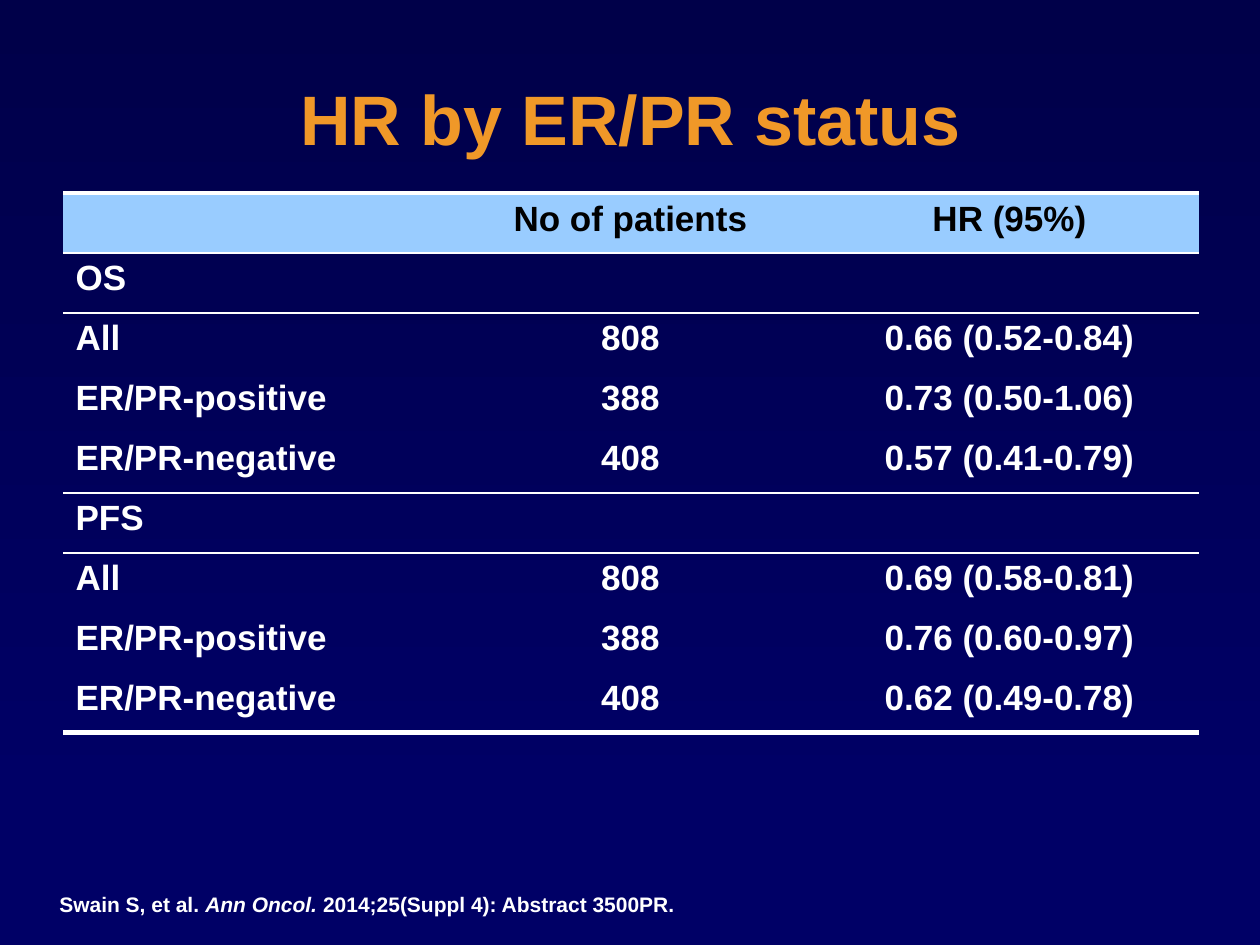
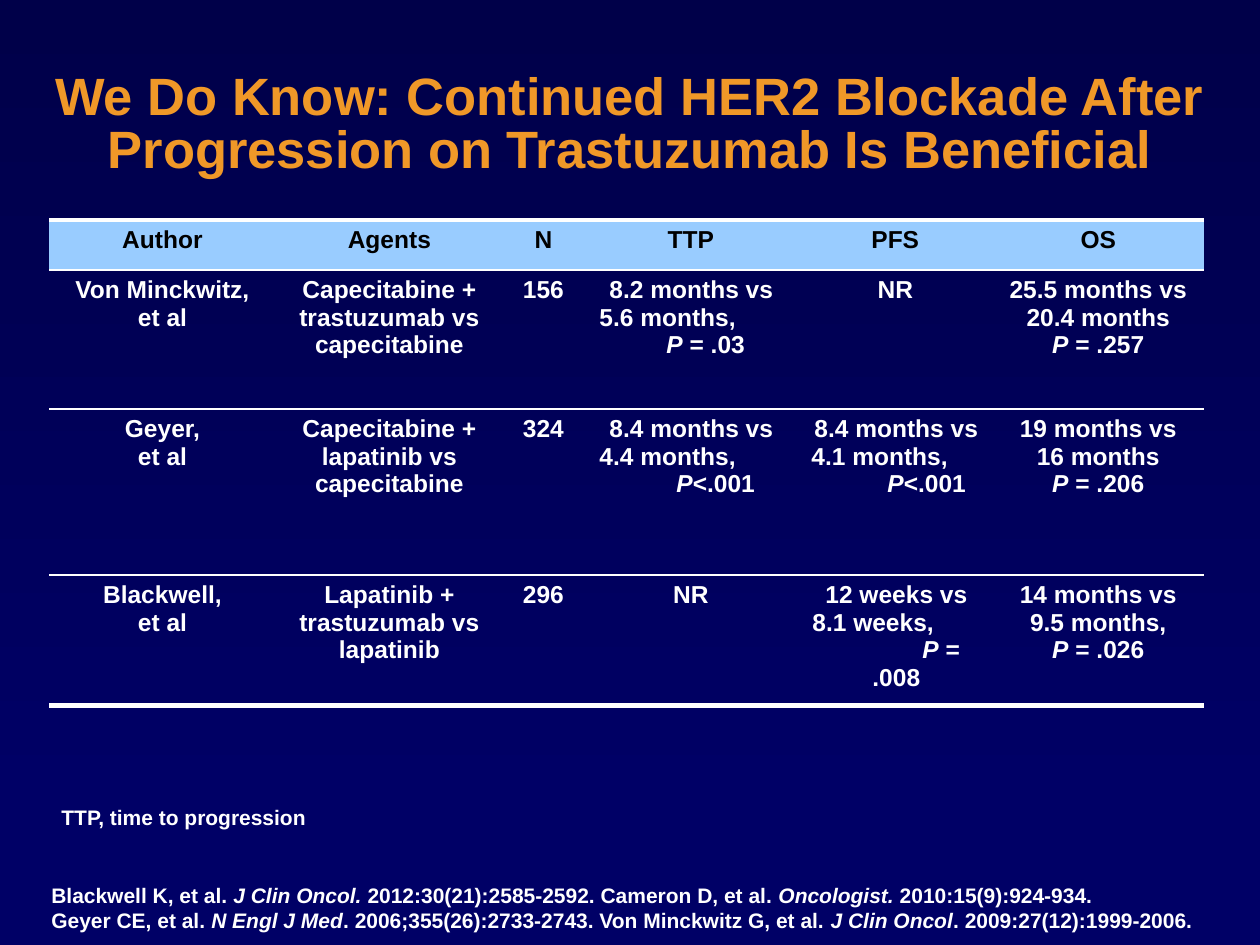
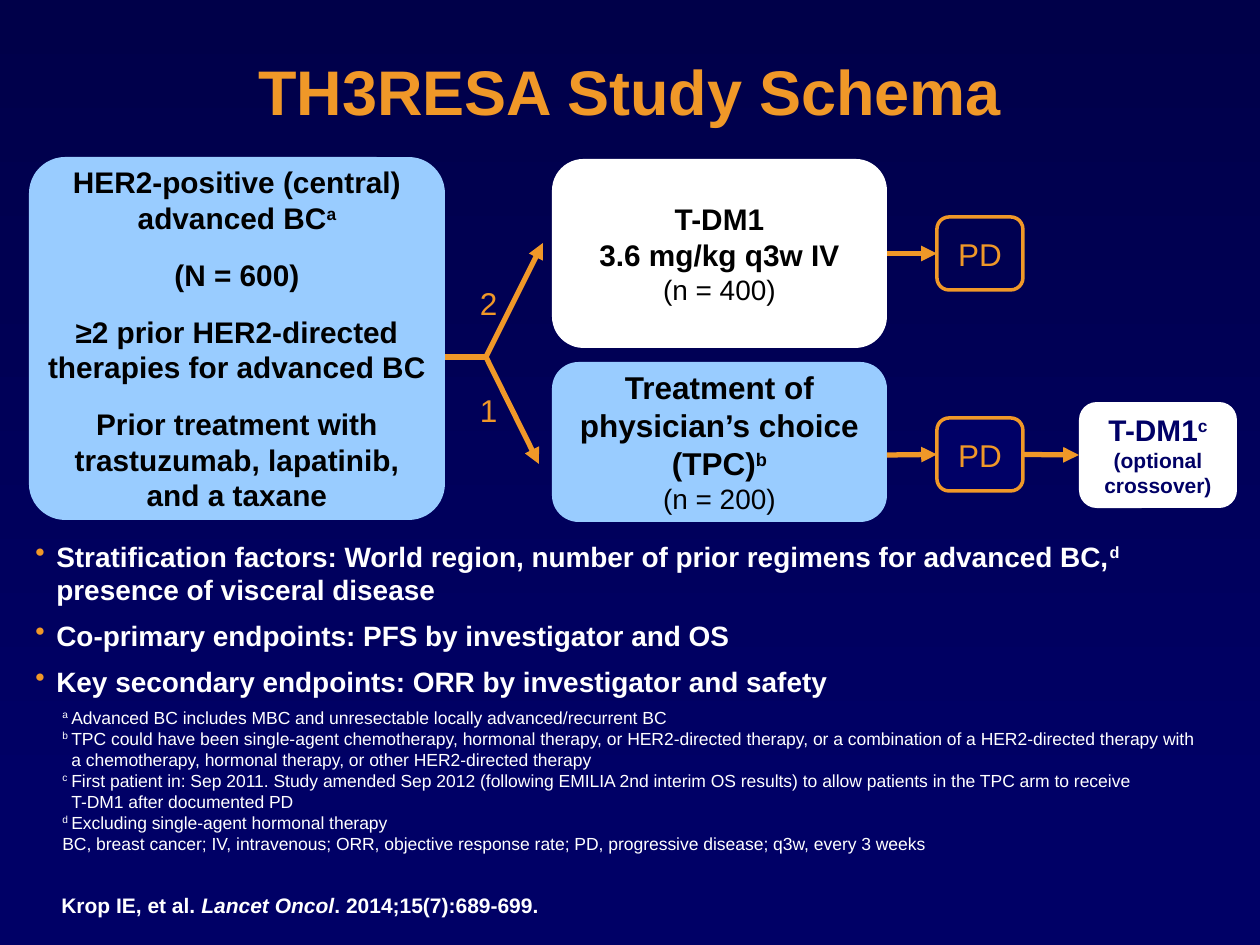
import copy

import pptx
import pptx.dml.color
import pptx.enum.shapes
import pptx.enum.text
import pptx.oxml
import pptx.oxml.ns
import pptx.util
from lxml import etree

SCALE = 914400 // 126
FONT = "Arial"
NAVY, DARK, ORANGE = "000066", "000049", "F09828"
SKY, WHITE, BLACK = "99CCFF", "FFFFFF", "000000"
SHAPES = pptx.enum.shapes.MSO_SHAPE
ALIGN = pptx.enum.text.PP_ALIGN
ANCHOR = pptx.enum.text.MSO_ANCHOR


def px(length):
    return pptx.util.Emu(length * SCALE)


def rgb(value):
    return pptx.dml.color.RGBColor.from_string(value)


def add_xml(parent, tag, **attributes):
    return etree.SubElement(parent, pptx.oxml.ns.qn(tag), attributes)


def add_color(parent, value):
    add_xml(add_xml(parent, "a:solidFill"), "a:srgbClr", val=value)


class Board:
    def __init__(self):
        self.deck = pptx.Presentation()
        self.deck.slide_width, self.deck.slide_height = px(1260), px(945)
        backdrop = self.deck.slide_master.background.fill
        backdrop.solid()
        backdrop.fore_color.rgb = rgb(NAVY)
        self.page = None

    def new_page(self, title, at, size, spacing=0.9):
        self.page = self.deck.slides.add_slide(self.deck.slide_layouts[6])
        band = self.shape((0, 0, 1260, 809), kind=SHAPES.RECTANGLE)
        band.fill.gradient()
        band.fill.gradient_angle = 270
        for stop, position, color in zip(band.fill.gradient_stops, (0, 1), (DARK, NAVY)):
            stop.position = position
            stop.color.rgb = rgb(color)
        box = self.text(at, title, size, ORANGE, align=ALIGN.CENTER, anchor=ANCHOR.MIDDLE)
        para = box.text_frame.paragraphs[0]
        para.line_spacing = spacing
        for span in para.runs:
            self.shade(span)

    def shade(self, span):
        fill = span.font._rPr.find(pptx.oxml.ns.qn("a:solidFill"))
        effects = etree.Element(pptx.oxml.ns.qn("a:effectLst"))
        shadow = add_xml(effects, "a:outerShdw", dist="35921", dir="2700000")
        add_xml(shadow, "a:srgbClr", val=BLACK)
        fill.addnext(effects)

    def set_text(self, frame, markup, size, color=WHITE, bold=True, align=ALIGN.LEFT, tail=None):
        for number, line in enumerate(markup.split("\n")):
            para = frame.add_paragraph() if number else frame.paragraphs[0]
            para.alignment = align
            self.set_spans(para, line, size, color, bold)
        if tail:
            for span in frame.paragraphs[-1].runs:
                span.font.size, span.font.bold = pptx.util.Pt(tail[0]), tail[1]

    def set_spans(self, para, line, size, color, bold):
        for i, part in enumerate(line.split("*")):
            for j, piece in enumerate(part.split("^")):
                for k, words in enumerate(piece.split("\v")):
                    if k:
                        para.add_line_break()
                    if not words:
                        continue
                    span = para.add_run()
                    span.text = words
                    span.font.name, span.font.size = FONT, pptx.util.Pt(size)
                    span.font.bold, span.font.italic = bold, i % 2 == 1
                    span.font.color.rgb = rgb(color)
                    if j % 2:
                        span.font._rPr.set("baseline", "30000")
        for line_break in para._p.findall(pptx.oxml.ns.qn("a:br")):
            line_break.append(copy.deepcopy(para.runs[-1].font._rPr))

    def set_frame(self, frame, anchor, wrap=True, inset=None):
        frame.word_wrap = wrap
        frame.vertical_anchor = anchor
        if inset is not None:
            frame.margin_left = frame.margin_right = px(inset)
            frame.margin_top = frame.margin_bottom = px(inset)

    def text(self, at, markup, size=12, color=WHITE, anchor=ANCHOR.TOP, wrap=True, inset=None, **style):
        box = self.page.shapes.add_textbox(*map(px, at))
        self.set_frame(box.text_frame, anchor, wrap, inset)
        self.set_text(box.text_frame, markup, size, color, **style)
        return box

    def shape(self, at, markup="", size=18, color=BLACK, fill=None, line=None, wrap=True,
              inset=None, kind=SHAPES.FLOWCHART_ALTERNATE_PROCESS, **style):
        box = self.page.shapes.add_shape(kind, *map(px, at))
        box.shadow.inherit = False
        if fill:
            box.fill.solid()
            box.fill.fore_color.rgb = rgb(fill)
        else:
            box.fill.background()
        if line:
            box.line.color.rgb = rgb(line)
            box.line.width = pptx.util.Pt(2)
        else:
            box.line.fill.background()
        if markup:
            self.set_frame(box.text_frame, ANCHOR.MIDDLE, wrap, inset)
            self.set_text(box.text_frame, markup, size, color, align=ALIGN.CENTER, **style)
        return box

    def connector(self, start, end, head=True, begin=None, finish=None):
        link = self.page.shapes.add_connector(
            pptx.enum.shapes.MSO_CONNECTOR.STRAIGHT, *map(px, start + end))
        if begin:
            link.begin_connect(begin, 3)
        if finish:
            link.end_connect(finish, 1)
        link.line.color.rgb = rgb(ORANGE)
        link.line.width = pptx.util.Pt(3)
        if head:
            add_xml(link.line._get_or_add_ln(), "a:tailEnd", type="triangle")
        add_xml(link._element.spPr, "a:effectLst")

    def hang(self, para, indent, bullet=None):
        properties = para._p.get_or_add_pPr()
        properties.set("marL", str(px(indent)))
        properties.set("indent", str(px(-indent)))
        if bullet:
            add_xml(add_xml(properties, "a:buClr"), "a:srgbClr", val=ORANGE)
            add_xml(properties, "a:buChar", char=bullet)

    def border(self, cell, side, weight):
        edge = add_xml(cell._tc.get_or_add_tcPr(), "a:ln" + side, w=str(pptx.util.Pt(weight)))
        if weight:
            add_color(edge, WHITE)
        else:
            add_xml(edge, "a:noFill")

    def table(self, left, top, widths, heights, rows, rules, size, left_columns=(), indents=None):
        frame = self.page.shapes.add_table(
            len(rows), len(widths), px(left), px(top), px(sum(widths)), px(sum(heights)))
        grid = frame.table
        grid.horz_banding = False
        for column, width in zip(grid.columns, widths):
            column.width = px(width)
        for r, (row, height) in enumerate(zip(rows, heights)):
            grid.rows[r].height = px(height)
            for c, markup in enumerate(row):
                cell = grid.cell(r, c)
                for side, weight in zip("LRTB", (0, 0, rules[r], rules[r + 1])):
                    self.border(cell, side, weight)
                if r:
                    cell.fill.background()
                else:
                    cell.fill.solid()
                    cell.fill.fore_color.rgb = rgb(SKY)
                offsets = (indents or {}).get((r, c), ())
                align = ALIGN.LEFT if c in left_columns or offsets else ALIGN.CENTER
                self.set_text(cell.text_frame, markup, size, WHITE if r else BLACK, align=align)
                for para, offset in zip(cell.text_frame.paragraphs, offsets):
                    para._p.get_or_add_pPr().set("marL", str(px(offset)))


def status_page(board):
    board.new_page("HR by ER/PR status", (47, 44, 1167, 158), 40)
    rows = [
        ("", "No of patients", "HR (95%)"),
        ("OS", "", ""),
        ("All", "808", "0.66 (0.52-0.84)"),
        ("ER/PR-positive", "388", "0.73 (0.50-1.06)"),
        ("ER/PR-negative", "408", "0.57 (0.41-0.79)"),
        ("PFS", "", ""),
        ("All", "808", "0.69 (0.58-0.81)"),
        ("ER/PR-positive", "388", "0.76 (0.60-0.97)"),
        ("ER/PR-negative", "408", "0.62 (0.49-0.78)"),
    ]
    board.table(63, 193, (378, 379, 379), [60] * len(rows), rows,
                (3, 1, 1, 0, 0, 1, 1, 0, 0, 3), 20, left_columns=(0,))
    board.text((47, 885, 1157, 38),
               "Swain S, et al. *Ann Oncol.* 2014;25(Suppl 4): Abstract 3500PR.")


def blockade_page(board):
    board.new_page("We Do Know: Continued HER2 Blockade After Progression on Trastuzumab Is Beneficial",
                   (0, 47, 1260, 158), 30, 0.85)
    rows = [
        ("Author", "Agents", "N", "TTP", "PFS", "OS"),
        ("Von Minckwitz,\vet al", "Capecitabine + trastuzumab vs capecitabine", "156",
         "8.2 months vs\n5.6 months,\n*P* = .03", "NR",
         "25.5 months vs 20.4 months\n*P* = .257"),
        ("Geyer,\vet al", "Capecitabine + lapatinib vs capecitabine", "324",
         "8.4 months vs\n4.4 months,\n*P*<.001", "8.4 months vs\n4.1 months,\n*P*<.001",
         "19 months vs 16 months\n*P* = .206"),
        ("Blackwell,\vet al", "Lapatinib + trastuzumab vs lapatinib", "296", "NR",
         "12 weeks vs\n8.1 weeks,\n*P* =\n.008", "14 months vs 9.5 months,\n*P* = .026"),
    ]
    indents = {(1, 3): (13, 3, 70), (2, 3): (13, 3, 80),
               (2, 4): (4, 1, 77), (3, 4): (15, 2, 112, 62)}
    board.table(49, 220, (227, 227, 81, 214, 195, 211), (50, 139, 166, 118), rows,
                (3, 1, 1, 1, 3), 14, indents=indents)
    board.text((39, 876, 1187, 63),
               "Blackwell K, et al. *J Clin Oncol.* 2012:30(21):2585-2592. "
               "Cameron D, et al. *Oncologist.* 2010:15(9):924-934.\v"
               "Geyer CE, et al. *N Engl J Med*. 2006;355(26):2733-2743. "
               "Von Minckwitz G, et al. *J Clin Oncol*. 2009:27(12):1999-2006.")
    board.text((49, 798, 273, 38), "TTP, time to progression", wrap=False)


def schema_page(board):
    board.new_page("TH3RESA Study Schema", (0, 16, 1260, 158), 36)
    patients = board.shape(
        (29, 157, 416, 363),
        "HER2-positive (central) advanced BC^a^\n(N = 600)\n"
        "≥2 prior HER2-directed therapies for advanced BC\n"
        "Prior treatment with trastuzumab, lapatinib, and a taxane",
        17, fill=SKY, inset=6, kind=SHAPES.ROUNDED_RECTANGLE)
    patients.adjustments[0] = 0.1
    for para in patients.text_frame.paragraphs:
        para.space_after = pptx.util.Pt(12)
    treatment = board.shape((552, 159, 335, 189), "T-DM1\n3.6 mg/kg q3w IV\n(n = 400)",
                            17, fill=WHITE, tail=(16, False))
    board.shape((552, 362, 335, 160), "Treatment of physician’s choice (TPC)^b^\n(n = 200)",
                18, fill=SKY, inset=6, tail=(16, False))
    crossover = board.shape((1079, 402, 158, 106), "T-DM1^c^\n(optional crossover)",
                            17, NAVY, fill=WHITE, tail=(12, True))
    upper, lower = [
        board.shape((937, top, 86, 73), "PD", 18, ORANGE, fill, ORANGE, wrap=False,
                    kind=SHAPES.ROUNDED_RECTANGLE, bold=False)
        for top, fill in ((217, None), (418, NAVY))]

    board.connector((445, 357), (486, 357), head=False)
    board.connector((486, 357), (539, 464))
    board.connector((486, 357), (543, 243))
    board.connector((887, 253), (937, 253), begin=treatment, finish=upper)
    board.connector((887, 455), (937, 455), finish=lower)
    board.connector((1023, 455), (1079, 455), begin=lower, finish=crossover)
    for top, ratio in ((284, "2"), (391, "1")):
        board.text((480, top, 63, 38), ratio, 18, ORANGE, ANCHOR.BOTTOM, inset=0, bold=False)

    points = board.text(
        (23, 533, 1172, 183),
        "Stratification factors: World region, number of prior regimens for advanced BC,^d^\v"
        "presence of visceral disease\n"
        "Co-primary endpoints: PFS by investigator and OS\n"
        "Key secondary endpoints: ORR by investigator and safety", 16)
    for number, para in enumerate(points.text_frame.paragraphs):
        board.hang(para, 21, "•")
        if number:
            para.space_before = pptx.util.Pt(7)

    notes = board.text(
        (50, 699, 1159, 161),
        "^a^\tAdvanced BC includes MBC and unresectable locally advanced/recurrent BC\n"
        "^b^\tTPC could have been single-agent chemotherapy, hormonal therapy, or HER2-directed "
        "therapy, or a combination of a HER2-directed therapy with a chemotherapy, hormonal "
        "therapy, or other HER2-directed therapy\n"
        "^c^\tFirst patient in: Sep 2011. Study amended Sep 2012 (following EMILIA 2nd interim "
        "OS results) to allow patients in the TPC arm to receive\vT-DM1 after documented PD\n"
        "^d^\tExcluding single-agent hormonal therapy\n"
        "BC, breast cancer; IV, intravenous; ORR, objective response rate; "
        "PD, progressive disease; q3w, every 3 weeks",
        10, anchor=ANCHOR.BOTTOM, bold=False)
    for para in notes.text_frame.paragraphs:
        board.hang(para, 9)
    board.text((49, 886, 1050, 35), "Krop IE, et al. *Lancet Oncol*. 2014;15(7):689-699.")


def main():
    board = Board()
    status_page(board)
    blockade_page(board)
    schema_page(board)
    board.deck.save("out.pptx")


if __name__ == "__main__":
    main()
